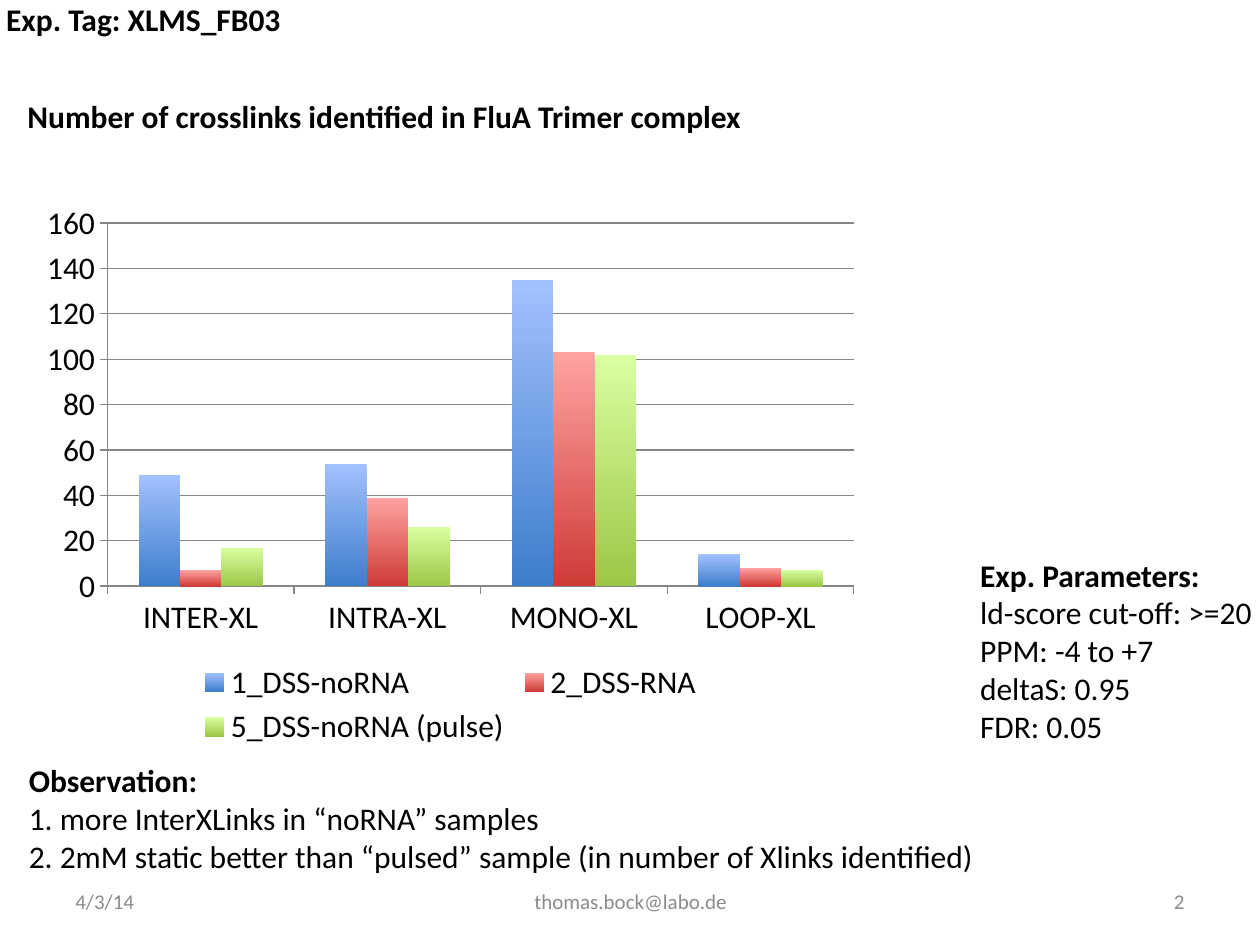
from pptx import Presentation
from pptx.chart.data import CategoryChartData
from pptx.dml.color import RGBColor
from pptx.enum.chart import XL_CHART_TYPE, XL_LEGEND_POSITION, XL_TICK_MARK
from pptx.enum.text import MSO_ANCHOR, MSO_AUTO_SIZE, PP_ALIGN
from pptx.util import Inches, Pt

COLORS = {
    "text": "000000",
    "footer": "8C8C8C",
    "axis": "868686",
}
# Series name: values, top and bottom colour of the columns
SERIES = {
    "1_DSS-noRNA": ((49, 54, 135, 14), ("A3C1FF", "3D7ECB")),
    "2_DSS-RNA": ((7, 39, 103, 8), ("FFA3A1", "CE3B37")),
    "5_DSS-noRNA (pulse)": ((17, 26, 102, 7), ("DAFFA1", "9CC746")),
}
CATEGORIES = ("INTER-XL", "INTRA-XL", "MONO-XL", "LOOP-XL")


def rgb(name):
    return RGBColor.from_string(COLORS.get(name, name))


def write_text(paragraph, text, size=18, color="text", bold=False,
               align=PP_ALIGN.LEFT, font="Calibri"):
    paragraph.alignment = align
    run = paragraph.add_run()
    run.text = text
    run.font.name = font
    run.font.size = Pt(size)
    run.font.bold = bold
    run.font.color.rgb = rgb(color)


class SlideBuilder:
    """Holds the style and the current slide."""

    font = "Calibri"
    size = 18

    def __init__(self, slide):
        self.slide = slide

    def box(self, left, top, width, height):
        shape = self.slide.shapes.add_textbox(
            Inches(left), Inches(top), Inches(width), Inches(height))
        return shape.text_frame

    def note(self, left, top, width, height, heading, lines=()):
        """A bold heading with plain lines below it."""
        frame = self.box(left, top, width, height)
        frame.word_wrap = False
        frame.auto_size = MSO_AUTO_SIZE.SHAPE_TO_FIT_TEXT
        write_text(frame.paragraphs[0], heading, bold=True, size=self.size, font=self.font)
        for line in lines:
            write_text(frame.add_paragraph(), line, size=self.size, font=self.font)

    def footer(self, left, width, text, align):
        frame = self.box(left, 6.95, width, 0.4)
        frame.word_wrap = True
        frame.vertical_anchor = MSO_ANCHOR.MIDDLE
        write_text(frame.paragraphs[0], text, size=12, color="footer",
                   align=align, font=self.font)

    def column_chart(self, left, top, width, height):
        data = CategoryChartData()
        data.categories = CATEGORIES
        for name, (values, _) in SERIES.items():
            data.add_series(name, values)
        chart = self.slide.shapes.add_chart(
            XL_CHART_TYPE.COLUMN_CLUSTERED, Inches(left), Inches(top),
            Inches(width), Inches(height), data).chart
        chart.has_title = False
        chart.font.name = self.font
        chart.font.size = Pt(self.size)
        chart.font.color.rgb = rgb("text")
        chart.has_legend = True
        chart.legend.position = XL_LEGEND_POSITION.BOTTOM
        chart.legend.include_in_layout = False

        # Axes and gridlines
        chart.value_axis.has_major_gridlines = True
        chart.value_axis.minimum_scale = 0
        chart.value_axis.maximum_scale = 160
        chart.value_axis.major_unit = 20
        for axis in (chart.category_axis, chart.value_axis):
            axis.major_tick_mark = XL_TICK_MARK.OUTSIDE
            axis.format.line.color.rgb = rgb("axis")
        chart.value_axis.major_gridlines.format.line.color.rgb = rgb("axis")

        # Columns shaded from top to bottom
        plot = chart.plots[0]
        plot.gap_width = 150
        plot.overlap = 0
        plot.vary_by_categories = False
        for series, (_, shades) in zip(plot.series, SERIES.values()):
            series.invert_if_negative = False
            fill = series.format.fill
            fill.gradient()
            fill.gradient_angle = 270
            for stop, shade in zip(fill.gradient_stops, shades):
                stop.color.rgb = rgb(shade)


def main():
    presentation = Presentation()
    presentation.slide_width = Inches(10)
    presentation.slide_height = Inches(7.5)
    builder = SlideBuilder(presentation.slides.add_slide(presentation.slide_layouts[6]))

    # Footer
    builder.footer(0.5, 2.33, "4/3/14", PP_ALIGN.LEFT)
    builder.footer(3.42, 3.17, "thomas.bock@labo.de", PP_ALIGN.CENTER)
    builder.footer(7.17, 2.33, "2", PP_ALIGN.RIGHT)

    # Crosslink counts
    builder.column_chart(0.24, 1.53, 6.67, 4.44)

    # Headings and notes
    builder.note(-0.05, -0.05, 2.42, 0.4, "Exp. Tag: XLMS_FB03")
    builder.note(0.12, 0.72, 5.97, 0.4,
                 "Number of crosslinks identified in FluA Trimer complex")
    builder.note(7.68, 4.36, 2.39, 1.62, "Exp. Parameters:", (
        "ld-score cut-off: >=20", "PPM: -4 to +7", "deltaS: 0.95", "FDR: 0.05"))
    builder.note(0.13, 5.99, 7.79, 1.01, "Observation:", (
        "1. more InterXLinks in “noRNA” samples",
        "2. 2mM static better than “pulsed” sample (in number of Xlinks identified)"))

    presentation.save("out.pptx")


if __name__ == "__main__":
    main()
